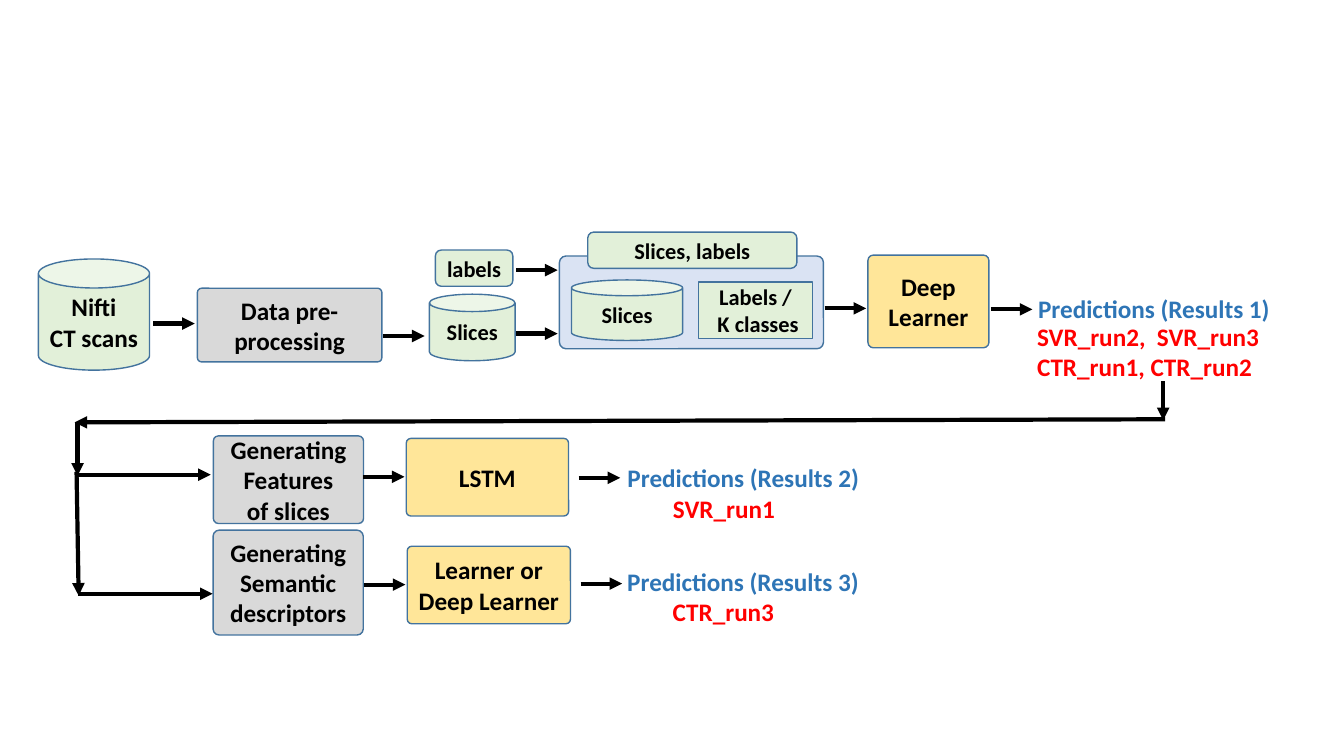
from lxml.etree import SubElement
from pptx import Presentation
from pptx.dml.color import RGBColor
from pptx.enum.shapes import MSO_CONNECTOR as Connector, MSO_SHAPE as Shape
from pptx.enum.text import MSO_ANCHOR as Anchor, MSO_AUTO_SIZE as AutoSize, PP_ALIGN as Align
from pptx.oxml.ns import qn
from pptx.util import Pt

BLACK = RGBColor(0x00, 0x00, 0x00)
BLUE = RGBColor(0x2E, 0x75, 0xB6)
RED = RGBColor(0xFF, 0x00, 0x00)
OUTLINE = RGBColor(0x43, 0x73, 0x9E)
LEARNER = RGBColor(0xFF, 0xE6, 0x99)
DATASET = RGBColor(0xDA, 0xE3, 0xF3)
DATA = RGBColor(0xE2, 0xF0, 0xD9)
PROCESS = RGBColor(0xD9, 0xD9, 0xD9)

ROUND, CAN, PLAIN = Shape.ROUNDED_RECTANGLE, Shape.CAN, Shape.FLOWCHART_PROCESS
SLIGHT, LID, DEFAULT = 0.058, 0.261, None
STEP = 29.7

STAGES = [
    ("Deep\nLearner", 18, ROUND, SLIGHT, LEARNER, (620, 182.2, 86.4, 66.2)),
    ("", 18, ROUND, 0.069, DATASET, (399.6, 182.9, 188.6, 66.2)),
    ("Slices, labels", 16, ROUND, DEFAULT, DATA, (419.8, 165.8, 149.4, 25.9)),
    ("Slices", 16, CAN, LID, DATA, (408.2, 200, 79.4, 43.2)),
    ("Labels /\n K classes", 16, PLAIN, DEFAULT, DATA, (499, 201.4, 81.4, 40.3)),
    ("Nifti\nCT scans", 18, CAN, LID, DATA, (27.4, 185, 79.4, 79.4)),
    ("Data pre-processing", 18, ROUND, SLIGHT, PROCESS, (141, 205.9, 131.8, 52.6)),
    ("Slices", 16, CAN, LID, DATA, (306.7, 210.2, 61.2, 47.5)),
    ("labels", 16, ROUND, DEFAULT, DATA, (311, 178.6, 55.4, 25.9)),
    ("Generating Features\nof slices", 18, ROUND, SLIGHT, PROCESS, (152.4, 311.4, 107.3, 62.6)),
    ("Generating Semantic descriptors", 18, ROUND, SLIGHT, PROCESS, (152.2, 378.7, 107.3, 74.9)),
    ("LSTM", 18, ROUND, SLIGHT, LEARNER, (290.2, 313.2, 115.9, 55.4)),
    ("Learner or Deep Learner", 18, ROUND, SLIGHT, LEARNER, (290.9, 390.2, 116.6, 55.4)),
]

STEP_STARTS = [
    (109.4, 231.1), (273.6, 240), (368.6, 238.3), (368.6, 193), (589, 220.3),
    (707.8, 221), (259.2, 340.6), (259.9, 417.6), (413.3, 341.3), (414.7, 416.9),
]

FEEDBACK = [
    (830.9, 272.2, 830.9, 300.2),
    (832.3, 299.5, 53.3, 301.7),
    (55.4, 301.7, 55.4, 339.8),
    (54.7, 337, 56.2, 425.5),
    (54, 339.1, 150.5, 339.1),
    (55.4, 424.1, 151.9, 424.1),
]

RESULTS = [
    ((734.4, 205.9, 181.4, 28.8), [("Predictions (Results 1)", BLUE, 0)]),
    ((733.7, 226.1, 174.2, 51.1), [("SVR_run2,  SVR_run3", RED, 0), ("CTR_run1, CTR_run2", RED, 0)]),
    ((441.1, 326.9, 181.4, 51.1), [("Predictions (Results 2)", BLUE, 0), ("SVR_run1", RED, 32.5)]),
    ((440.9, 401, 181.4, 51.1), [("Predictions (Results 3)", BLUE, 0), ("CTR_run3", RED, 32.5)]),
]


def style_runs(paragraph, size, color):
    """Give every run of a paragraph the bold face of the diagram."""
    for run in paragraph.runs:
        run.font.name = "Calibri"
        run.font.size = Pt(size)
        run.font.bold = True
        run.font.color.rgb = color


def add_stage(slide, label, size, outline, adjustment, fill, bounds):
    """Add one labelled block of the pipeline."""
    stage = slide.shapes.add_shape(outline, *map(Pt, bounds))
    stage.shadow.inherit = False
    stage.fill.solid()
    stage.fill.fore_color.rgb = fill
    stage.line.color.rgb = OUTLINE
    stage.line.width = Pt(1)
    if adjustment is not None:
        stage.adjustments[0] = adjustment
    stage.text_frame.text = label
    stage.text_frame.vertical_anchor = Anchor.MIDDLE
    for paragraph in stage.text_frame.paragraphs:
        paragraph.alignment = Align.CENTER
        style_runs(paragraph, size, BLACK)


def add_arrow(slide, *ends):
    """Add a thick black arrow from the first point to the second."""
    arrow = slide.shapes.add_connector(Connector.STRAIGHT, *map(Pt, ends))
    arrow.line.color.rgb = BLACK
    arrow.line.width = Pt(3)
    SubElement(arrow.line._get_or_add_ln(), qn("a:tailEnd"), type="triangle")
    SubElement(arrow._element.spPr, qn("a:effectLst"))


def add_result(slide, bounds, lines):
    """Add a text block of predictions and the runs behind them."""
    frame = slide.shapes.add_textbox(*map(Pt, bounds)).text_frame
    frame.word_wrap = False
    frame.auto_size = AutoSize.SHAPE_TO_FIT_TEXT
    frame.text = "\n".join(text for text, _, _ in lines)
    for paragraph, (_, color, indent) in zip(frame.paragraphs, lines):
        paragraph._p.get_or_add_pPr().set("marL", str(int(Pt(indent))))
        style_runs(paragraph, 18, color)


def main():
    """Build the pipeline slide and save it."""
    deck = Presentation()
    deck.slide_width, deck.slide_height = Pt(960), Pt(540)
    slide = deck.slides.add_slide(deck.slide_layouts[6])
    for stage in STAGES:
        add_stage(slide, *stage)
    for left, top in STEP_STARTS:
        add_arrow(slide, left, top, left + STEP, top)
    for ends in FEEDBACK:
        add_arrow(slide, *ends)
    for bounds, lines in RESULTS:
        add_result(slide, bounds, lines)
    deck.save("out.pptx")


if __name__ == "__main__":
    main()
